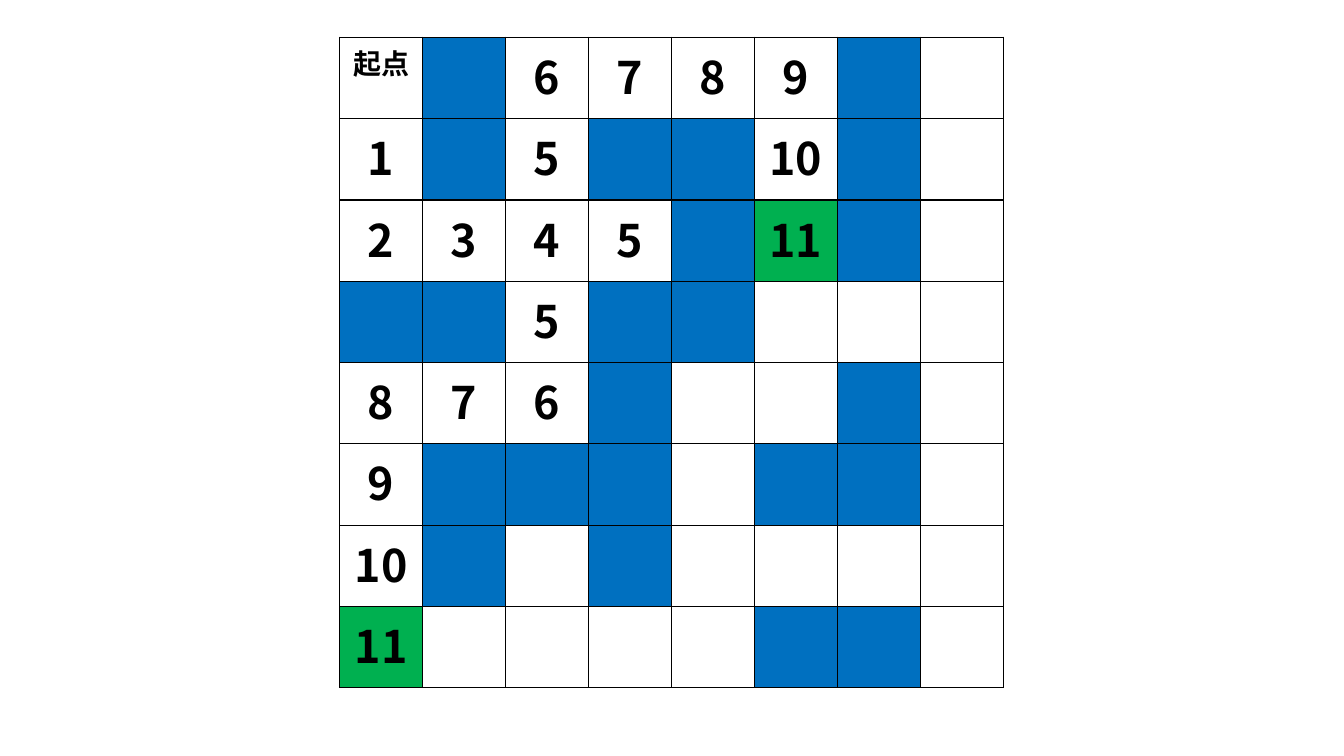
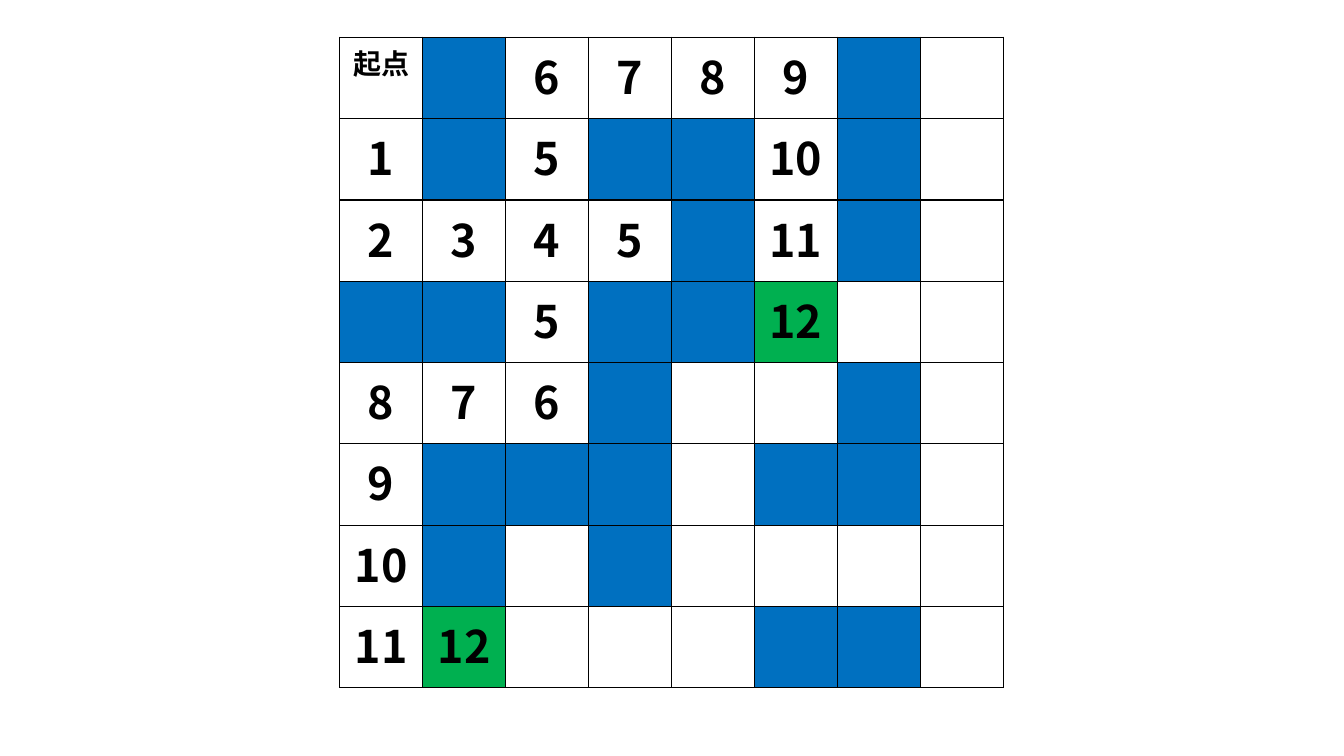
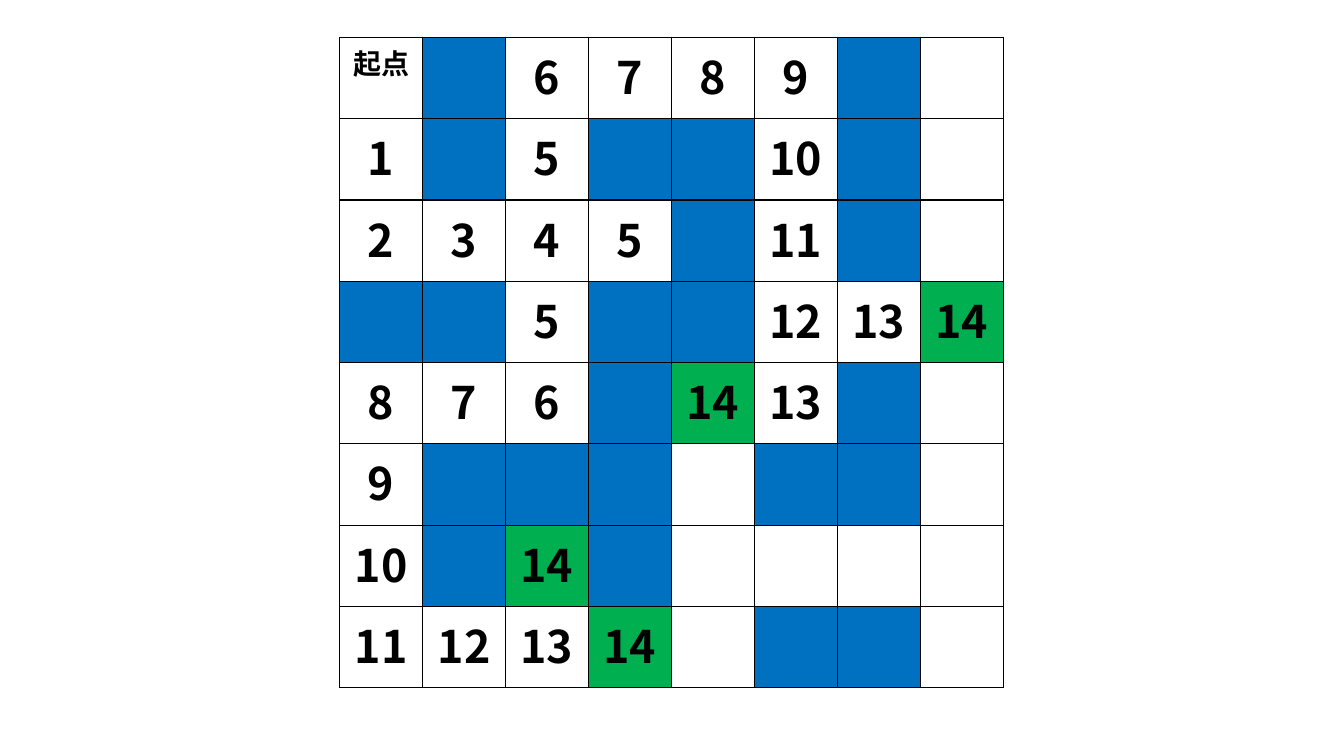
from typing import NamedTuple

from lxml import etree
from pptx import Presentation
from pptx.dml.color import RGBColor
from pptx.enum.text import MSO_ANCHOR, PP_ALIGN
from pptx.oxml.ns import qn
from pptx.util import Cm, Pt

CENTER = PP_ALIGN.CENTER
TOP = MSO_ANCHOR.TOP

FONT = "Noto Sans CJK SC"
BLACK, WHITE, BLUE, GREEN = "000000", "FFFFFF", "0070C0", "00B050"
LEFT, UPPER = 8.56, 0.94
WIDE, HIGH = 2.09, 2.05

# Maze: "#" is a wall, "." is open, a number is the distance from the start
START, WALL, OPEN = "起点", "#", "."
MAZE = [line.split() for line in (
    "起点 #  6  7  8  9  #  .",
    "1    #  5  #  #  10 #  .",
    "2    3  4  5  #  11 #  .",
    "#    #  5  #  #  12 13 14",
    "8    7  6  #  14 13 #  .",
    "9    #  #  #  .  #  #  .",
    "10   #  14 #  .  .  .  .",
    "11   12 13 14 .  #  #  .",
)]
# Distance reached on each slide
LIMITS = (11, 12, 14)


class Square(NamedTuple):
    text: str
    fill: str
    size: int = 32


def paint(fill, color: str) -> None:
    fill.solid()
    fill.fore_color.rgb = RGBColor.from_string(color)


def write(frame, text: str, *, size: int, color: str = BLACK, bold: bool = True) -> None:
    par = frame.paragraphs[0]
    par.alignment = CENTER
    run = par.add_run()
    run.text = text
    font = run.font
    font.name, font.size, font.bold = FONT, Pt(size), bold
    font.color.rgb = RGBColor.from_string(color)
    # East Asian typeface
    etree.SubElement(run._r.get_or_add_rPr(), qn("a:ea"), typeface=FONT)


def border(cell, color: str = BLACK, width: float = 1) -> None:
    props = cell._tc.get_or_add_tcPr()
    for side in ("lnL", "lnR", "lnT", "lnB"):
        line = etree.SubElement(props, qn(f"a:{side}"), w=str(Pt(width)))
        solid = etree.SubElement(line, qn("a:solidFill"))
        etree.SubElement(solid, qn("a:srgbClr"), val=color)


def look(mark: str, limit: int) -> Square:
    """Tell how a maze mark shows once the search has reached the limit."""
    if mark == START:
        return Square(START, WHITE, 20)
    if mark == WALL:
        return Square("", BLUE)
    if mark == OPEN or int(mark) > limit:
        return Square("", WHITE)
    return Square(mark, GREEN if int(mark) == limit else WHITE)


def draw(slide, limit: int) -> None:
    rows, cols = len(MAZE), len(MAZE[0])
    table = slide.shapes.add_table(
        rows, cols, Cm(LEFT), Cm(UPPER), Cm(WIDE * cols), Cm(HIGH * rows)).table
    table.first_row = table.horz_banding = False
    for col in table.columns:
        col.width = Cm(WIDE)
    for row, marks in zip(table.rows, MAZE):
        row.height = Cm(HIGH)
        for cell, mark in zip(row.cells, marks):
            square = look(mark, limit)
            border(cell)
            paint(cell.fill, square.fill)
            cell.vertical_anchor = TOP
            if square.text:
                write(cell.text_frame, square.text, size=square.size)


def main() -> None:
    deck = Presentation()
    deck.slide_width, deck.slide_height = Cm(33.87), Cm(19.05)
    # Shared background
    paint(deck.slide_master.background.fill, WHITE)
    blank = deck.slide_layouts[6]
    for limit in LIMITS:
        draw(deck.slides.add_slide(blank), limit)
    deck.save("out.pptx")


if __name__ == "__main__":
    main()
